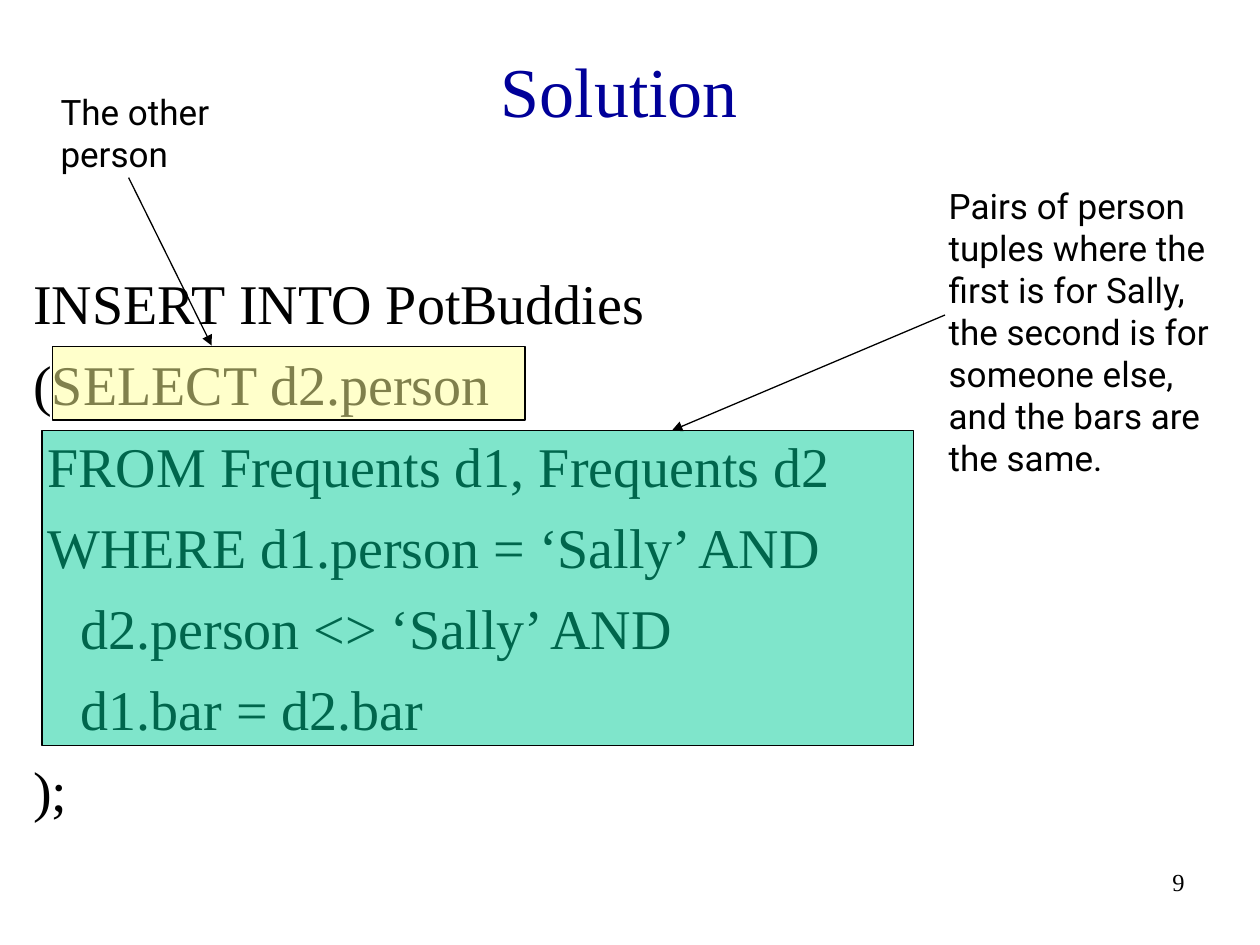
import pptx
import pptx.util
import pptx.dml.color
import pptx.enum.shapes
import pptx.enum.text
import pptx.oxml
import pptx.oxml.ns

Pt = pptx.util.Pt
RGB = pptx.dml.color.RGBColor
ALIGN = pptx.enum.text.PP_ALIGN
ANCHOR = pptx.enum.text.MSO_ANCHOR

BLACK = RGB(0x00, 0x00, 0x00)
NAVY = RGB(0x00, 0x00, 0x99)
GREEN = RGB(0x00, 0xCC, 0x99)
YELLOW = RGB(0xFF, 0xFF, 0x99)

SERIF, SANS = "Times New Roman", "Roboto"


class Deck:
    """Holds the shared style and the current slide."""

    line_width = 0.75

    def __init__(self, width, height):
        self.prs = pptx.Presentation()
        self.prs.slide_width, self.prs.slide_height = Pt(width), Pt(height)
        self.s = self.prs.slides.add_slide(self.prs.slide_layouts[6])

    def text(self, box, lines, size, font=SERIF, color=BLACK,
             anchor=ANCHOR.TOP, wrap=True, **para):
        """Add a text box; each line is (left indent, text)."""
        tf = self.s.shapes.add_textbox(*map(Pt, box)).text_frame
        tf.word_wrap, tf.vertical_anchor = wrap, anchor
        for i, (indent, words) in enumerate(lines):
            p = tf.paragraphs[0] if i == 0 else tf.add_paragraph()
            for name, value in para.items():
                setattr(p, name, value)
            if indent:
                p._p.get_or_add_pPr().set("marL", str(Pt(indent)))
            r = p.add_run()
            r.text = words
            for name, value in {"name": font, "size": Pt(size)}.items():
                setattr(r.font, name, value)
            r.font.color.rgb = color

    def outline(self, line):
        line.color.rgb = BLACK
        line.width = Pt(self.line_width)

    def highlight(self, box, color):
        """Add a half-transparent outlined rectangle."""
        sp = self.s.shapes.add_shape(
            pptx.enum.shapes.MSO_SHAPE.RECTANGLE, *map(Pt, box))
        sp.shadow.inherit = False
        sp.fill.solid()
        sp.fill.fore_color.rgb = color
        clr = sp._element.spPr.find(".//" + pptx.oxml.ns.qn("a:srgbClr"))
        pptx.oxml.ns.qn("a:alpha")
        clr.append(self.xml("alpha", val="50000"))
        self.outline(sp.line)

    def arrow(self, *ends):
        """Add a straight line with an arrowhead at its end."""
        c = self.s.shapes.add_connector(
            pptx.enum.shapes.MSO_CONNECTOR.STRAIGHT, *map(Pt, ends))
        self.outline(c.line)
        c.line._get_or_add_ln().append(self.xml("tailEnd", type="triangle"))
        c._element.spPr.append(self.xml("effectLst"))

    @staticmethod
    def xml(tag, **attrs):
        el = pptx.oxml.parse_xml(
            f'<a:{tag} {pptx.oxml.ns.nsdecls("a")}/>')
        for name, value in attrs.items():
            el.set(name, value)
        return el


def main():
    d = Deck(720, 540)

    # Page number and title
    d.text((534, 492, 150, 36), [(0, "9")], 14, alignment=ALIGN.RIGHT)
    d.text((12, 24, 684, 54), [(0, "Solution")], 40, color=NAVY,
           anchor=ANCHOR.MIDDLE, alignment=ALIGN.CENTER)

    # SQL statement
    d.text((12, 150, 684, 336), [
        (0, "INSERT INTO PotBuddies"),
        (0, "(SELECT d2.person"),
        (8, "FROM Frequents d1, Frequents d2"),
        (8, "WHERE d1.person = ‘Sally’ AND"),
        (27, "d2.person <> ‘Sally’ AND"),
        (27, "d1.bar = d2.bar"),
        (0, ");"),
    ], 32, space_before=Pt(8), line_spacing=Pt(38.4))

    # FROM and WHERE clauses with their note
    d.highlight((24, 246, 498, 180), GREEN)
    pairs = ["Pairs of person", "tuples where the", "first is for Sally,",
             "the second is for", "someone else,", "and the bars are",
             "the same."]
    note = {"size": 20, "font": SANS, "wrap": False, "line_spacing": Pt(24)}
    d.text((535, 102, 173, 176), [(0, t) for t in pairs], **note)
    d.arrow(540, 180, 384, 246)

    # SELECT clause with its note
    d.highlight((30, 198, 270, 42), YELLOW)
    d.text((27.5, 48, 106, 55), [(0, "The other"), (0, "person")], **note)
    d.arrow(73.5, 101.5, 121, 197.5)

    d.prs.save("out.pptx")


if __name__ == "__main__":
    main()
